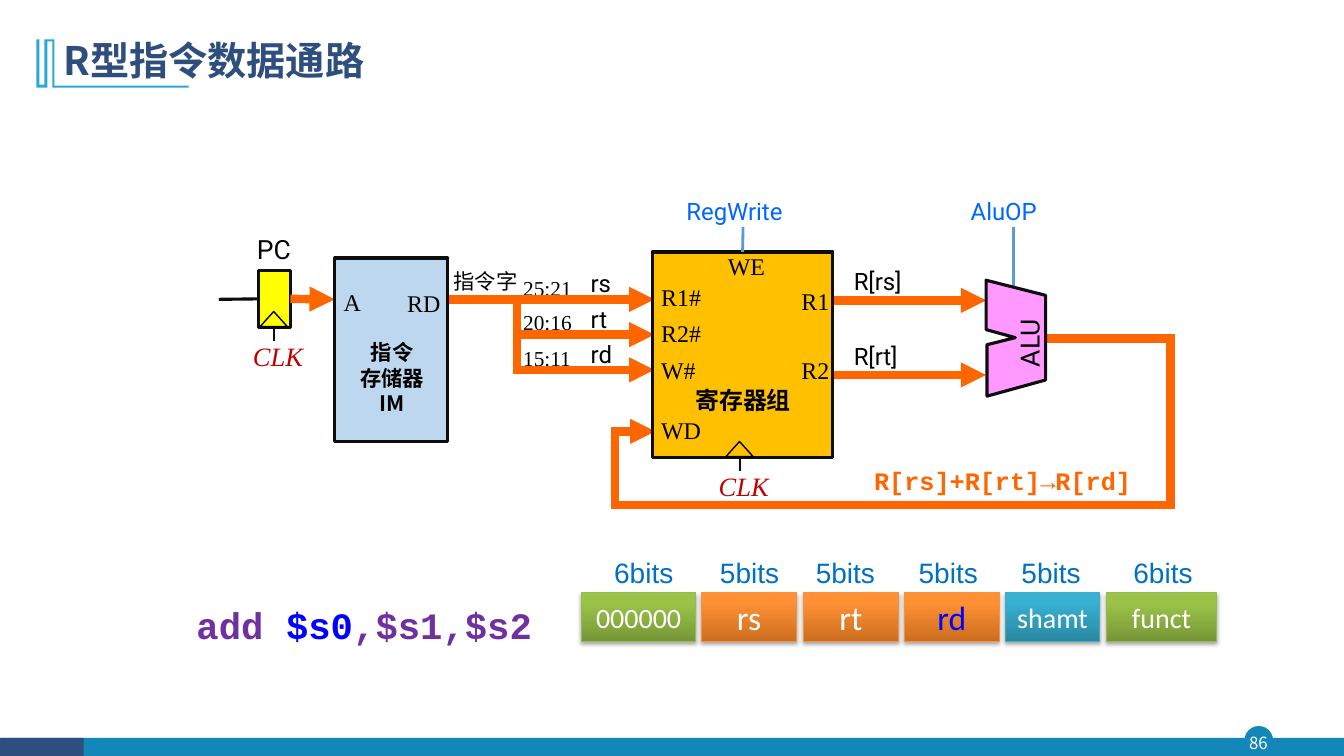
from lxml import etree
from pptx import Presentation
from pptx.dml.color import RGBColor
from pptx.enum import dml, shapes, text
from pptx.oxml import ns
from pptx.util import Inches, Pt

COLORS = {
    "navy": "2E4E7E", "teal": "1387B7", "cyan": "28A9D6", "white": "FFFFFF",
    "ink": "0D0D0D", "black": "000000", "bus": "FF6600", "control": "5B9BD5",
    "signal": "0066FF", "clock": "C00000", "pc": "FFFF00", "memory": "BDD7EE",
    "registers": "FFC000", "alu": "FF99FF", "purple": "7030A0",
    "blue": "0000FF", "bits": "0070C0",
}
# dark end, light end, outline
FIELD_COLORS = {
    "green": ("779737", "9BC348", "98B955"),
    "orange": ("CC6E20", "FF9034", "F69240"),
    "teal": ("2A88A2", "37B1D2", "46AAC5"),
}
CJK, SERIF, SANS, MONO = "Noto Sans CJK SC", "Times New Roman", "Roboto", "Courier New"
RECT = shapes.MSO_SHAPE.RECTANGLE
CENTER = text.PP_ALIGN.CENTER


def rgb(name):
    return RGBColor.from_string(COLORS.get(name, name))


def style(span, font, size, color, bold=False, italic=False):
    span.font.name, span.font.size = font, Pt(size)
    span.font.bold, span.font.italic = bold, italic
    span.font.color.rgb = rgb(color)
    if font == CJK:
        east_asian = etree.SubElement(span.font._element, ns.qn("a:ea"))
        east_asian.set("typeface", font)


def paint(shape, fill, line=None, width=1):
    shape.shadow.inherit = False
    shape.fill.solid()
    shape.fill.fore_color.rgb = rgb(fill)
    if line:
        shape.line.color.rgb, shape.line.width = rgb(line), Pt(width)
    else:
        shape.line.fill.background()
    return shape


def block(page, kind, at, fill, line=None, width=1):
    return paint(page.shapes.add_shape(kind, *map(Inches, at)), fill, line, width)


def outline(page, points, fill, line=None, width=1):
    corners = [(Inches(x), Inches(y)) for x, y in points]
    builder = page.shapes.build_freeform(*corners[0])
    builder.add_line_segments(corners[1:], close=True)
    return paint(builder.convert_to_shape(), fill, line, width)


def label(page, words, at, font=SERIF, size=17.1, color="black", align=None,
          wrap=False, **emphasis):
    box = page.shapes.add_textbox(*map(Inches, at))
    frame = box.text_frame
    frame.word_wrap = wrap
    frame.auto_size = text.MSO_AUTO_SIZE.SHAPE_TO_FIT_TEXT
    frame.text = words
    for para in frame.paragraphs:
        para.alignment = align
        for span in para.runs:
            style(span, font, size, color, **emphasis)
    return box


def code(page, at, size, spans):
    box = page.shapes.add_textbox(*map(Inches, at))
    box.text_frame.word_wrap = True
    para = box.text_frame.paragraphs[0]
    para.line_spacing = 1.2
    for words, color in spans:
        span = para.add_run()
        span.text = words
        style(span, MONO, size, color, bold=True)


def wire(page, start, end, color="bus", width=6, arrow=False, cap="flat"):
    line = page.shapes.add_connector(shapes.MSO_CONNECTOR.STRAIGHT,
                                     *map(Inches, (*start, *end)))
    line.line.color.rgb, line.line.width = rgb(color), Pt(width)
    pen = line.line._get_or_add_ln()
    pen.set("cap", cap)
    if arrow:
        etree.SubElement(pen, ns.qn("a:tailEnd")).set("type", "triangle")
    etree.SubElement(line._element.spPr, ns.qn("a:effectLst"))
    return line


def route(page, points):
    """Draw a bus through the points, with an arrowhead at the last one."""
    legs = list(zip(points, points[1:]))
    for start, end in legs[:-1]:
        wire(page, start, end, cap="sq")
    wire(page, *legs[-1], arrow=True)


def clock_mark(page, center, bottom, fill):
    block(page, shapes.MSO_SHAPE.ISOSCELES_TRIANGLE,
          (center - 0.14, bottom - 0.16, 0.27, 0.15), fill, "black")
    label(page, "CLK", (center - 0.31, bottom + 0.07, 0.7, 0.42), size=18.9,
          color="clock", italic=True)
    return wire(page, (center, bottom), (center, bottom + 0.13), "ink", 1.5)


def instruction_field(page, words, left, width, scheme, size, color="white"):
    dark, light, edge = FIELD_COLORS[scheme]
    box = block(page, RECT, (left, 5.88, width, 0.48), light, edge, 0.75)
    box.fill.gradient()
    box.fill.gradient_angle = 90
    for stop, shade, place in zip(box.fill.gradient_stops, (dark, light), (0, 0.8)):
        stop.color.rgb, stop.position = rgb(shade), place
    effects = box._element.spPr.find(ns.qn("a:effectLst"))
    shadow = etree.SubElement(effects, ns.qn("a:outerShdw"), blurRad=str(Pt(3.1)),
                              dist=str(Pt(1.8)), dir="5400000", rotWithShape="0")
    black = etree.SubElement(shadow, ns.qn("a:srgbClr"), val=COLORS["black"])
    etree.SubElement(black, ns.qn("a:alpha"), val="35000")
    frame = box.text_frame
    frame.margin_left = frame.margin_right = 0
    frame.vertical_anchor = text.MSO_ANCHOR.MIDDLE
    frame.text = words
    frame.paragraphs[0].alignment = CENTER
    style(frame.paragraphs[0].runs[0], "Calibri", size, color)


def draw_frame(page):
    """Footer bar, page number, title and its ornament."""
    block(page, shapes.MSO_SHAPE.OVAL, (12.35, 7.21, 0.27, 0.27), "teal", "teal")
    block(page, RECT, (0.01, 7.32, 13.32, 0.18), "teal")
    block(page, RECT, (0, 7.32, 0.83, 0.18), "navy")
    number = label(page, "86", (12.32, 7.21, 0.32, 0.31), CJK, 12, "white", CENTER)
    frame = number.text_frame
    frame.auto_size = text.MSO_AUTO_SIZE.NONE
    frame.vertical_anchor = text.MSO_ANCHOR.MIDDLE
    frame.margin_left = frame.margin_right = frame.margin_top = frame.margin_bottom = 0
    outline(page, [(0.54, 0.39), (0.54, 0.85), (1.87, 0.85), (1.87, 0.87),
                   (0.52, 0.87), (0.52, 0.41), (0.47, 0.41), (0.47, 0.87),
                   (0.36, 0.87), (0.36, 0.39), (0.39, 0.39), (0.39, 0.84),
                   (0.44, 0.84), (0.44, 0.39)], "cyan")
    title = page.shapes.title
    title.left, title.top, title.width, title.height = map(Inches, (0.53, 0.28, 11.5, 0.68))
    title.text_frame.text = "R型指令数据通路"
    title.text_frame.vertical_anchor = text.MSO_ANCHOR.MIDDLE
    para = title.text_frame.paragraphs[0]
    para.alignment, para.line_spacing = text.PP_ALIGN.LEFT, 0.9
    style(para.runs[0], CJK, 28, "navy", bold=True)


def draw_buses(page):
    label(page, "指令字", (4.4, 2.61, 0.84, 0.36), CJK, 15.2)
    rows = [("25:21", "rs", 2.68, 2.97), ("20:16", "rt", 3.02, 3.32),
            ("15:11", "rd", 3.38, 3.67)]
    for bits, register, top, level in rows:
        label(page, bits, (5.09, top, 0.69, 0.36), size=15.2)
        label(page, register, (5.76, level - 0.35, 0.42, 0.39), SANS)
        wire(page, (5.14, level), (6.49, level), arrow=True)
    wire(page, (4.44, 2.97), (5.14, 2.97))
    wire(page, (5.13, 2.97), (5.13, 3.67), cap="sq")
    for value, level in (("R[rs]", 2.98), ("R[rt]", 3.72)):
        label(page, value, (8.37, level - 0.38, 0.77, 0.39), SANS)
        wire(page, (8.23, level), (9.78, level), arrow=True)
    route(page, [(10.42, 3.36), (11.61, 3.36), (11.61, 5.01), (6.1, 5.01),
                 (6.1, 4.28), (6.5, 4.28)])


def draw_units(page):
    counter = block(page, RECT, (2.56, 2.68, 0.32, 0.57), "pc", "ink", 2.25)
    label(page, "PC", (2.45, 2.26, 0.54, 0.42), SANS, 18.9)
    wire(page, (2.17, 2.97), (2.56, 2.97), "ink", 2.25).end_connect(counter, 1)
    wire(page, (2.88, 2.97), (3.32, 2.97), arrow=True).begin_connect(counter, 3)
    clock_mark(page, 2.72, 3.25, "pc").begin_connect(counter, 2)

    block(page, RECT, (3.32, 2.56, 1.12, 1.82), "memory", "ink", 2.25)
    label(page, "A", (3.31, 2.8, 0.38, 0.39))
    label(page, "RD", (3.94, 2.81, 0.54, 0.39))
    label(page, "指令\n存储器\nIM", (3.47, 3.32, 0.84, 0.87), CJK, 15.2,
          align=CENTER, bold=True)

    registers = block(page, RECT, (6.47, 2.5, 1.79, 2.04), "registers", "ink", 2.25)
    ports = [("R1#", 6.46, 2.75, 0.6), ("R2#", 6.46, 3.11, 0.6),
             ("W#", 6.46, 3.48, 0.55), ("WD", 6.46, 4.07, 0.6),
             ("WE", 7.12, 2.45, 0.57), ("R1", 7.85, 2.79, 0.48),
             ("R2", 7.85, 3.48, 0.48)]
    for port, left, top, width in ports:
        label(page, port, (left, top, width, 0.39))
    label(page, "寄存器组", (6.79, 3.78, 1.16, 0.39), CJK, align=CENTER, bold=True)
    clock_mark(page, 7.34, 4.54, "registers")
    label(page, "RegWrite", (6.71, 1.9, 1.32, 0.39), SANS, color="signal")
    wire(page, (7.37, 2.25), (7.37, 2.5), "control", 2).end_connect(registers, 0)

    label(page, "AluOP", (9.53, 1.9, 0.94, 0.39), SANS, color="signal")
    wire(page, (10.05, 2.25), (10.05, 2.85), "control", 2)
    outline(page, [(9.78, 2.78), (9.78, 3.27), (10.07, 3.35), (9.79, 3.42),
                   (9.79, 3.93), (10.37, 3.77), (10.37, 2.93)], "alu", "ink", 2.25)
    label(page, "ALU", (9.84, 3.16, 0.74, 0.42), SANS, 18.9).rotation = 270


def draw_instruction(page):
    code(page, (1.85, 5.84, 3.69, 0.6), 26.6,
         [("add ", "purple"), ("$s0", "blue"), (",$s1,$s2", "purple")])
    code(page, (8.57, 4.51, 4.58, 0.6), 18, [("R[rs]+R[rt]→R[rd]", "bus")])
    fields = [("000000", 5.77, 1.13, "green", 20), ("rs", 6.96, 0.94, "orange", 24),
              ("rt", 7.97, 0.94, "orange", 24), ("rd", 8.97, 0.94, "orange", 24, "blue"),
              ("shamt", 9.97, 0.94, "teal", 20), ("funct", 10.97, 1.1, "green", 20)]
    for field in fields:
        instruction_field(page, *field)
    for bits, left in zip((6, 5, 5, 5, 5, 6), (5.9, 6.95, 7.9, 8.92, 9.94, 11.05)):
        label(page, f"{bits}bits", (left, 5.46, 0.97, 0.45), "Arial", 20, "bits",
              CENTER, wrap=True)


def main():
    deck = Presentation()
    deck.slide_width, deck.slide_height = Inches(13.33), Inches(7.5)
    page = deck.slides.add_slide(deck.slide_layouts[5])
    for draw in (draw_frame, draw_buses, draw_units, draw_instruction):
        draw(page)
    deck.save("out.pptx")


if __name__ == "__main__":
    main()
